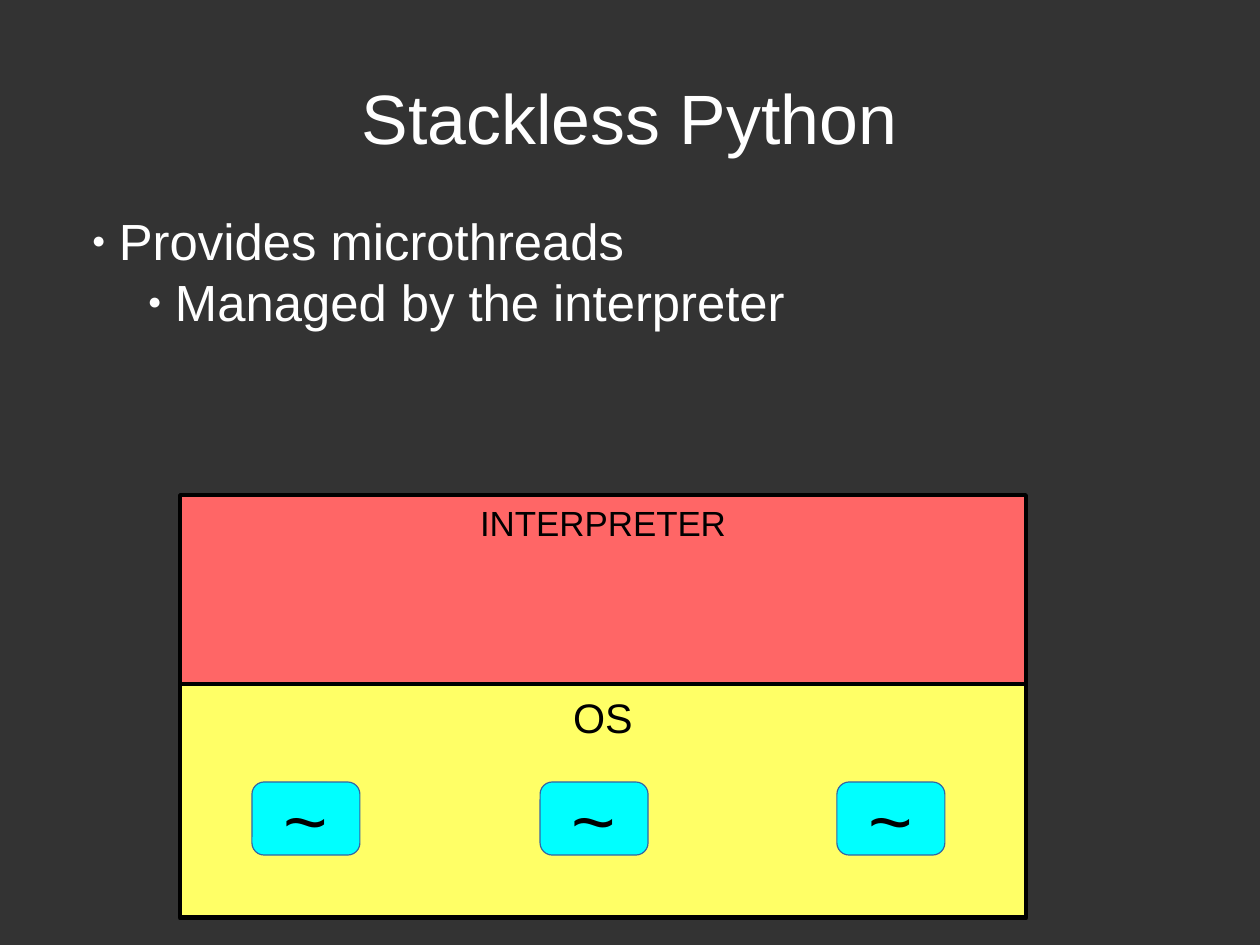
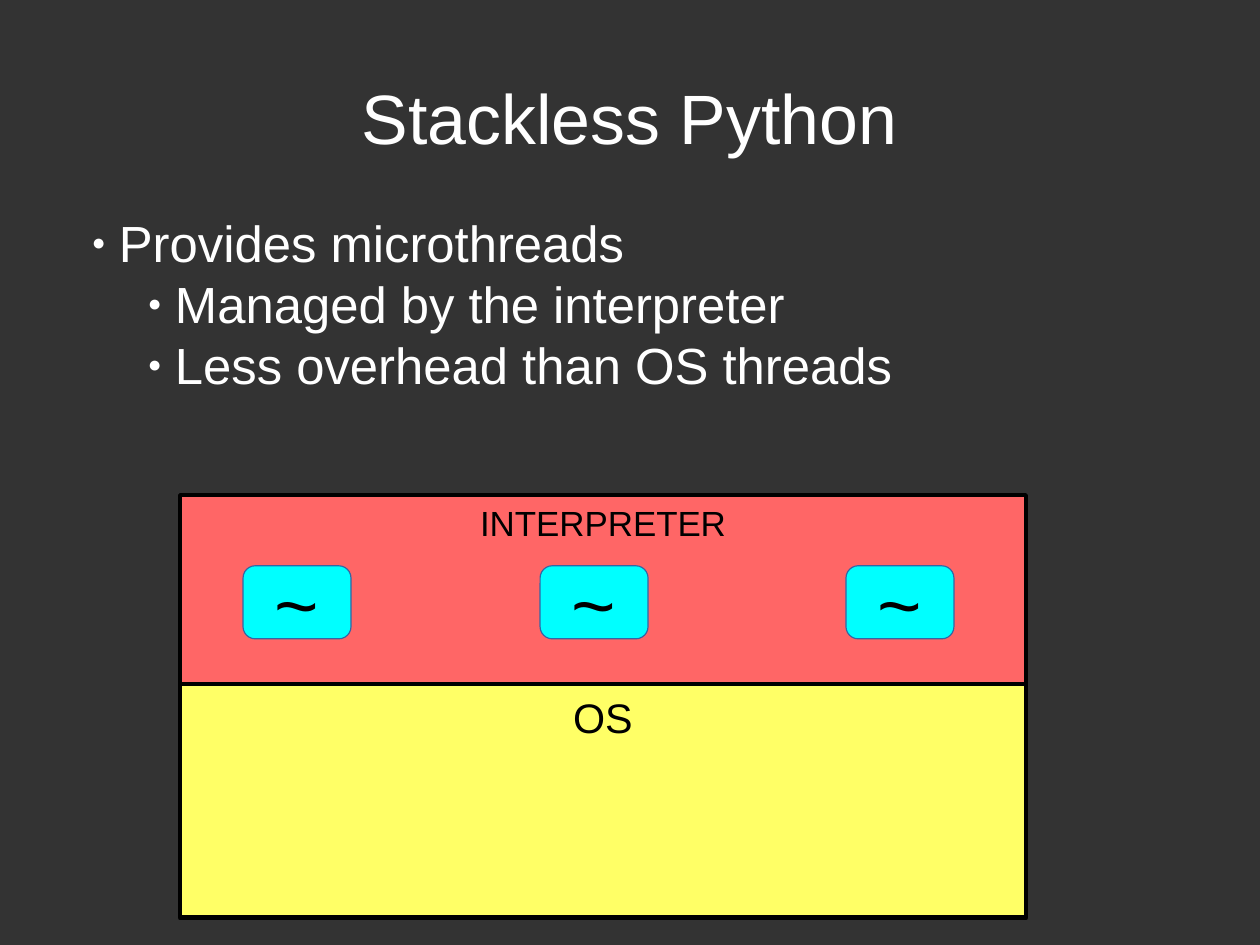
from dataclasses import dataclass

from lxml.etree import SubElement
from pptx import Presentation
from pptx.dml.color import RGBColor
from pptx.enum.shapes import MSO_SHAPE
from pptx.enum.text import MSO_ANCHOR, PP_ALIGN
from pptx.oxml.ns import qn
from pptx.util import Pt


@dataclass(frozen=True)
class Theme:
    """Colours, font and type sizes shared by all slides."""
    font: str = "Arial"
    background: str = "333333"
    light: str = "FFFFFF"
    dark: str = "000000"
    os_fill: str = "FFFF66"
    interpreter_fill: str = "FF6666"
    thread_fill: str = "00FFFF"
    thread_line: str = "3465A4"
    title_size: int = 44
    body_size: int = 32
    os_size: int = 26
    interpreter_size: int = 22
    thread_size: int = 48


THEME = Theme()
PAGE_WIDTH, PAGE_HEIGHT = 793.7, 595.28
MARGIN, CONTENT_WIDTH = 39.6, 714.3

# Bullet list measures
LEVEL_INDENT, BULLET_HANG, LINE_PITCH = 35.3, 17, 38.4
BULLET_SIZE = 45000  # thousandths of a percent of the text size

# Diagram measures
STACK_LEFT, STACK_WIDTH = 113.4, 532.9
INTERPRETER_TOP, INTERPRETER_HEIGHT = 311.8, 119
OS_HEIGHT = 147.4
THREAD_WIDTH, THREAD_HEIGHT = 68, 46


def rgb(value):
    return RGBColor.from_string(value)


def add_bullet(para, level):
    """Give a paragraph a hanging bullet."""
    properties = para._p.get_or_add_pPr()
    properties.set("marL", str(Pt(level * LEVEL_INDENT)))
    properties.set("indent", str(Pt(-BULLET_HANG)))
    colour = SubElement(properties, qn("a:buClr"))
    SubElement(colour, qn("a:srgbClr"), val=THEME.light)
    SubElement(properties, qn("a:buSzPct"), val=str(BULLET_SIZE))
    SubElement(properties, qn("a:buFont"), typeface=THEME.font)
    SubElement(properties, qn("a:buChar"), char="●")


def write(box, lines, *, size, color, align=PP_ALIGN.CENTER,
          anchor=MSO_ANCHOR.TOP, inset=(0, 0), wrap=True,
          levels=None, pitch=None):
    """Write one paragraph per line, bulleted where levels are given."""
    frame = box.text_frame
    frame.word_wrap = wrap
    frame.vertical_anchor = anchor
    frame.margin_left = frame.margin_right = Pt(inset[0])
    frame.margin_top = frame.margin_bottom = Pt(inset[1])
    for index, line in enumerate(lines):
        para = frame.add_paragraph() if index else frame.paragraphs[0]
        para.alignment = align
        if pitch:
            para.line_spacing = Pt(pitch)
        if levels:
            add_bullet(para, levels[index])
        span = para.add_run()
        span.text = line
        span.font.name = THEME.font
        span.font.size = Pt(size)
        span.font.color.rgb = rgb(color)


def add_text(page, lines, left, top, width, height, **style):
    box = page.shapes.add_textbox(Pt(left), Pt(top), Pt(width), Pt(height))
    write(box, lines, **style)


def add_block(page, text, left, top, width, height, *, fill, line, line_width,
              kind=MSO_SHAPE.RECTANGLE, **style):
    """Add a filled, outlined shape with a centred label."""
    block = page.shapes.add_shape(kind, Pt(left), Pt(top), Pt(width), Pt(height))
    block.shadow.inherit = False
    block.fill.solid()
    block.fill.fore_color.rgb = rgb(fill)
    block.line.color.rgb = rgb(line)
    block.line.width = Pt(line_width)
    write(block, [text], color=THEME.dark, wrap=False, **style)


def add_stack(page):
    """Add the interpreter layer resting on the OS layer."""
    add_block(page, "OS", STACK_LEFT, INTERPRETER_TOP + INTERPRETER_HEIGHT,
              STACK_WIDTH, OS_HEIGHT, fill=THEME.os_fill, line=THEME.dark,
              line_width=3, size=THEME.os_size, inset=(8.6, 5))
    add_block(page, "INTERPRETER", STACK_LEFT, INTERPRETER_TOP,
              STACK_WIDTH, INTERPRETER_HEIGHT, fill=THEME.interpreter_fill,
              line=THEME.dark, line_width=2.3, size=THEME.interpreter_size,
              inset=(7.9, 4.3))


def add_threads(page, lefts, top):
    for left in lefts:
        add_block(page, "~", left, top, THREAD_WIDTH, THREAD_HEIGHT,
                  kind=MSO_SHAPE.ROUNDED_RECTANGLE, fill=THEME.thread_fill,
                  line=THEME.thread_line, line_width=0, size=THEME.thread_size,
                  anchor=MSO_ANCHOR.MIDDLE, inset=(7.2, 3.6))


def add_page(deck, bullets, list_top, thread_lefts, thread_top):
    """Add a slide: title, bullets, layer stack and threads."""
    page = deck.slides.add_slide(deck.slide_layouts[6])
    page.background.fill.solid()
    page.background.fill.fore_color.rgb = rgb(THEME.background)
    add_text(page, ["Stackless Python"], MARGIN, 23.8, CONTENT_WIDTH, 99.4,
             size=THEME.title_size, color=THEME.light, anchor=MSO_ANCHOR.MIDDLE)
    levels, lines = zip(*bullets)
    add_text(page, lines, MARGIN, list_top, CONTENT_WIDTH,
             len(lines) * LINE_PITCH, size=THEME.body_size, color=THEME.light,
             align=PP_ALIGN.LEFT, levels=levels, pitch=LINE_PITCH)
    add_stack(page)
    add_threads(page, thread_lefts, thread_top)


def main():
    deck = Presentation()
    deck.slide_width, deck.slide_height = Pt(PAGE_WIDTH), Pt(PAGE_HEIGHT)
    bullets = [(1, "Provides microthreads"), (2, "Managed by the interpreter")]

    # Threads in the OS
    add_page(deck, bullets, 132.2, (158.7, 340.2, 527.2), 492.6)

    # Threads in the interpreter
    add_page(deck, bullets + [(2, "Less overhead than OS threads")], 133.5,
             (153.1, 340.2, 532.9), 356.4)

    deck.save("out.pptx")


if __name__ == "__main__":
    main()
